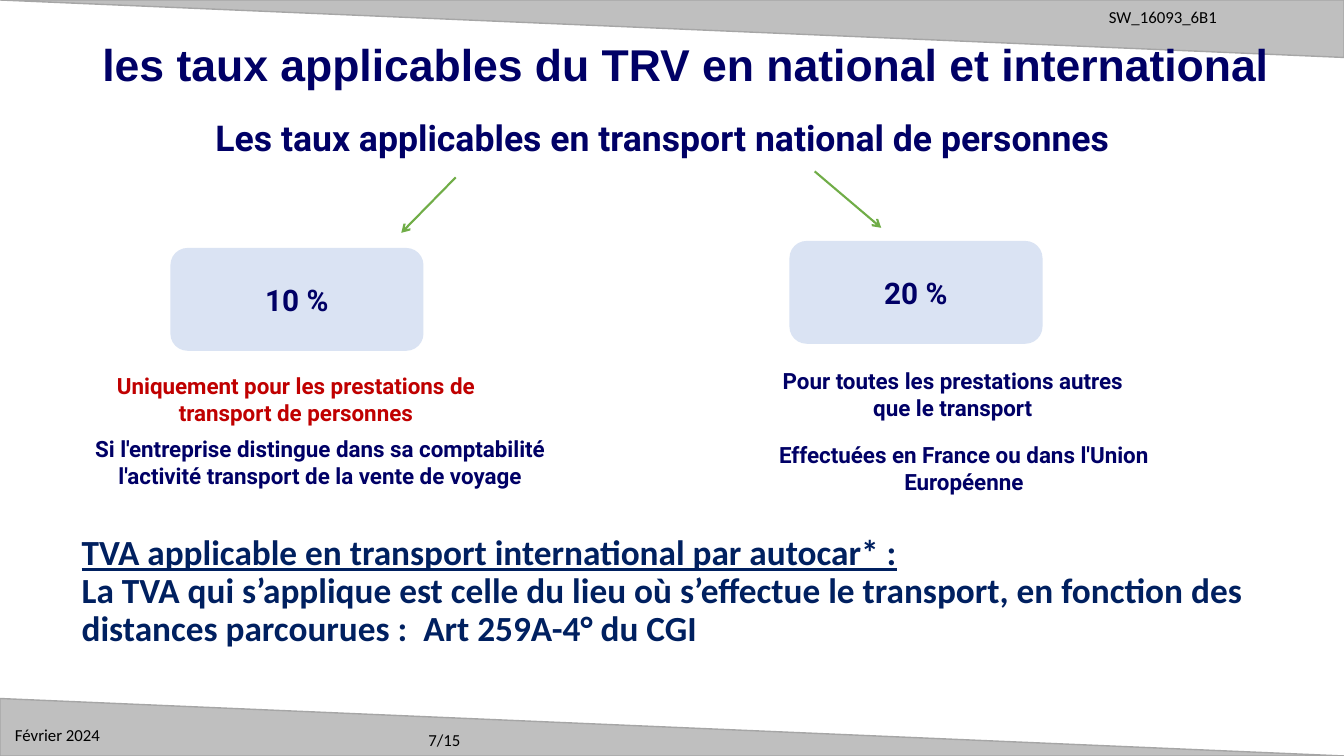
from lxml import etree
from pptx import Presentation
from pptx.dml.color import RGBColor
from pptx.enum import shapes, text
from pptx.oxml import ns
from pptx.util import Inches, Pt

NAVY = RGBColor(0x00, 0x00, 0x66)
DARK_BLUE = RGBColor(0x00, 0x20, 0x60)
RED = RGBColor(0xC0, 0x00, 0x00)
GREEN = RGBColor(0x70, 0xAD, 0x47)
PALE_BLUE = RGBColor(0xDA, 0xE3, 0xF3)
BAND_GREY = RGBColor(0xBF, 0xBF, 0xBF)
EDGE_GREY = RGBColor(0xA6, 0xA6, 0xA6)
BLACK = RGBColor(0x00, 0x00, 0x00)

WIDTH, HEIGHT, BAND_HEIGHT = 13.33, 7.5, 0.57


def style_font(font, name, size, color, bold=True):
    font.name = name
    font.size = Pt(size)
    font.bold = bold
    font.color.rgb = color


def add_band(slide, top, rotation):
    shape = slide.shapes.add_shape(
        shapes.MSO_SHAPE.ISOSCELES_TRIANGLE,
        Inches(0), Inches(top), Inches(WIDTH), Inches(BAND_HEIGHT))
    shape.adjustments[0] = 0
    shape.rotation = rotation
    shape.shadow.inherit = False
    shape.fill.solid()
    shape.fill.fore_color.rgb = BAND_GREY
    shape.line.color.rgb = EDGE_GREY
    shape.line.width = Pt(1)


def add_text(slide, words, left, top, width, height, size, color=NAVY):
    box = slide.shapes.add_textbox(
        Inches(left), Inches(top), Inches(width), Inches(height))
    box.text_frame.word_wrap = True
    paragraph = box.text_frame.paragraphs[0]
    paragraph.text = words
    paragraph.alignment = text.PP_ALIGN.CENTER
    style_font(paragraph.font, "Roboto", size, color)


def add_label(slide, words, left, top, width):
    box = slide.shapes.add_textbox(
        Inches(left), Inches(top), Inches(width), Inches(0.3))
    box.text_frame.word_wrap = True
    paragraph = box.text_frame.paragraphs[0]
    paragraph.text = words
    style_font(paragraph.font, "Calibri", 12, BLACK, bold=False)


def add_rounded_box(slide, words, left, top, width, height, font_name, size, fill=None):
    shape = slide.shapes.add_shape(
        shapes.MSO_SHAPE.ROUNDED_RECTANGLE,
        Inches(left), Inches(top), Inches(width), Inches(height))
    shape.shadow.inherit = False
    shape.line.fill.background()
    if fill is None:
        shape.fill.background()
    else:
        shape.fill.solid()
        shape.fill.fore_color.rgb = fill
    frame = shape.text_frame
    frame.word_wrap = False
    frame.vertical_anchor = text.MSO_ANCHOR.MIDDLE
    frame.margin_left = frame.margin_right = Inches(0.11)
    paragraph = frame.paragraphs[0]
    paragraph.text = words
    paragraph.alignment = text.PP_ALIGN.CENTER
    style_font(paragraph.font, font_name, size, NAVY)


def add_arrow(slide, start_x, start_y, end_x, end_y):
    connector = slide.shapes.add_connector(
        shapes.MSO_CONNECTOR.STRAIGHT,
        Inches(start_x), Inches(start_y), Inches(end_x), Inches(end_y))
    connector.line.color.rgb = GREEN
    connector.line.width = Pt(1.5)
    line = connector.line._get_or_add_ln()
    etree.SubElement(line, ns.qn("a:tailEnd")).set("type", "arrow")
    etree.SubElement(connector._element.spPr, ns.qn("a:effectLst"))


def fill_title(slide, heading, body):
    title = slide.shapes.title
    title.left, title.top = Inches(0.73), Inches(5.27)
    title.width, title.height = Inches(12.02), Inches(1.48)
    frame = title.text_frame
    frame.word_wrap = True
    frame.auto_size = text.MSO_AUTO_SIZE.NONE
    frame.vertical_anchor = text.MSO_ANCHOR.TOP
    frame.margin_left = frame.margin_right = Inches(0.08)
    frame.margin_top = frame.margin_bottom = Inches(0.04)
    paragraph = frame.paragraphs[0]
    paragraph.alignment = text.PP_ALIGN.LEFT
    paragraph.line_spacing = 0.9
    style_font(paragraph.font, "Calibri", 25.2, DARK_BLUE)
    heading_run = paragraph.add_run()
    heading_run.text = heading
    heading_run.font.underline = True
    paragraph.add_line_break()
    paragraph.add_run().text = body


def main():
    presentation = Presentation()
    presentation.slide_width = Inches(WIDTH)
    presentation.slide_height = Inches(HEIGHT)
    slide = presentation.slides.add_slide(presentation.slide_layouts[5])

    # Bands and labels at the slide edges
    add_band(slide, 0, 180)
    add_band(slide, HEIGHT - BAND_HEIGHT, 0)
    add_label(slide, "7/15", 4.15, 7.19, 1)
    add_label(slide, "SW_16093_6B1", 10.9, 0.02, 2.39)
    add_label(slide, "Février 2024", 0.05, 7.14, 1.38)

    # Headings
    add_rounded_box(slide, "les taux applicables du TRV en national et international ",
                    0.98, 0.32, 11.77, 0.62, "Arial", 31.8)
    add_text(slide, "Les taux applicables en transport national de personnes ",
             1.24, 1.1, 10.76, 0.53, 25.4)

    # The two rates
    add_arrow(slide, 4.52, 1.76, 3.98, 2.31)
    add_arrow(slide, 8.08, 1.7, 8.74, 2.26)
    for rate, left, top in (("10 %", 1.69, 2.46), ("20 %", 7.83, 2.39)):
        add_rounded_box(slide, rate, left, top, 2.51, 1.02, "Roboto", 21.2, PALE_BLUE)

    # Conditions under each rate
    conditions = (
        ("Uniquement pour les prestations de transport de personnes", 0.98, 3.64, 3.91, RED),
        ("Si l'entreprise distingue dans sa comptabilité l'activité transport "
         "de la vente de voyage", 0.44, 4.27, 5.47, NAVY),
        ("Pour toutes les prestations autres que le transport", 7.46, 3.59, 3.98, NAVY),
        ("Effectuées en France ou dans l'Union Européenne", 7.57, 4.33, 3.98, NAVY),
    )
    for words, left, top, width, color in conditions:
        add_text(slide, words, left, top, width, 0.64, 16, color)

    # International transport
    fill_title(slide, "TVA applicable en transport international par autocar* :",
               "La TVA qui s’applique est celle du lieu où s’effectue le transport, "
               "en fonction des distances parcourues :  Art 259A-4° du CGI")

    presentation.save("out.pptx")


if __name__ == "__main__":
    main()
